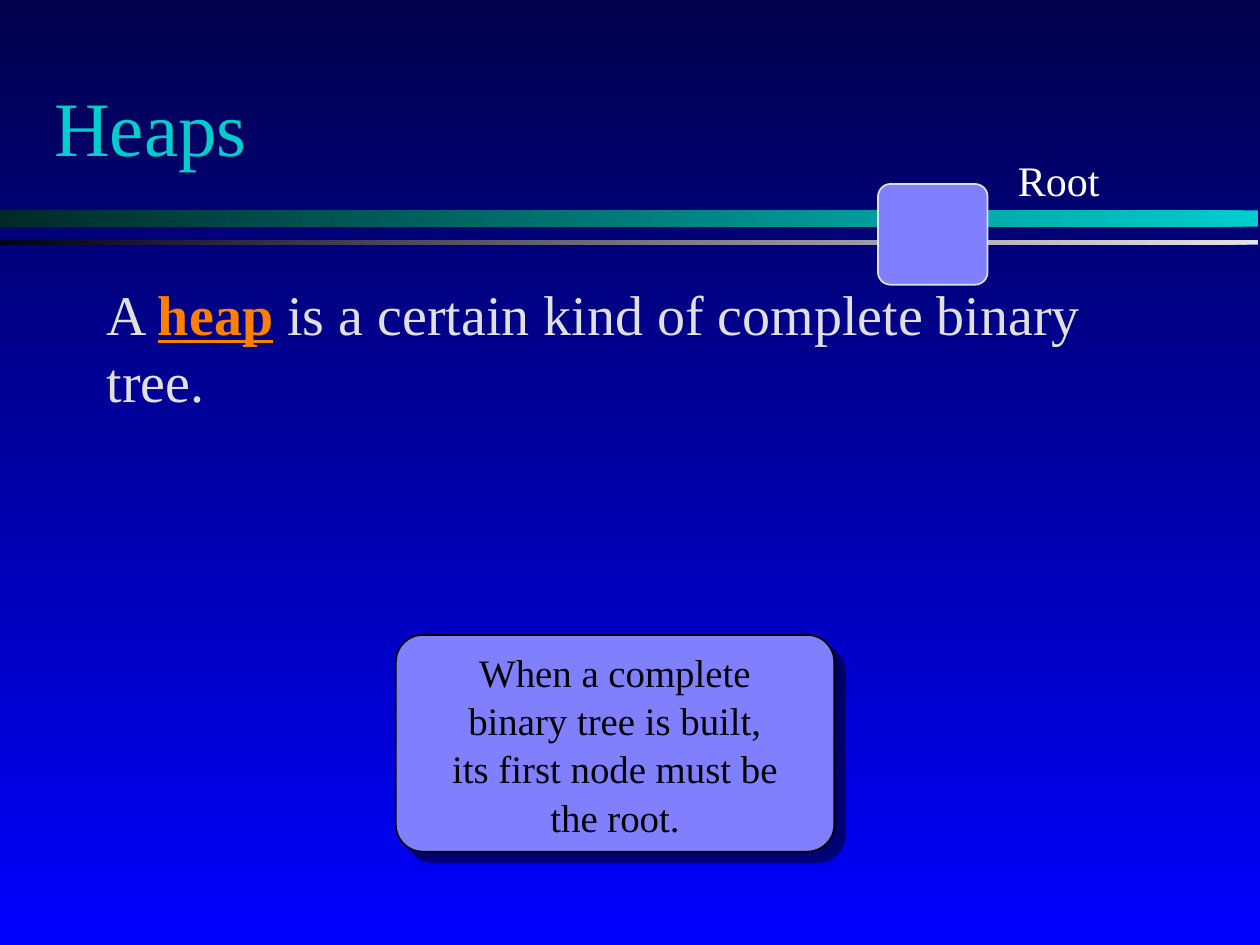
from lxml import etree
from pptx import Presentation
from pptx import util as u
from pptx.dml.color import RGBColor
from pptx.enum import shapes, text
from pptx.oxml.ns import qn

COLORS = {
    "night": "00004B", "blue": "0000FF",
    "teal": "00CECE", "dark_teal": "002929",
    "silver": "E4E4E7", "dark_navy": "000020",
    "body": "E0E0E0", "term": "FF8000", "node": "8080FF",
    "black": "000000", "white": "FFFFFF",
}
FONT = "Times New Roman"


def rgb(name):
    return RGBColor.from_string(COLORS[name])


def write(frame, paragraphs, size, color, align="LEFT", anchor="TOP",
          spacing=1.0, before=0, wrap=True, fit="NONE"):
    """Each paragraph is a list of runs; a run is (text, is_term)."""
    frame.word_wrap = wrap
    frame.auto_size = getattr(text.MSO_AUTO_SIZE, fit)
    frame.vertical_anchor = getattr(text.MSO_ANCHOR, anchor)
    for index, runs in enumerate(paragraphs):
        line = frame.add_paragraph() if index else frame.paragraphs[0]
        line.alignment = getattr(text.PP_ALIGN, align)
        line.line_spacing = spacing
        line.space_before = u.Pt(before)
        for words, is_term in runs:
            run = line.add_run()
            run.text = words
            run.font.name, run.font.size = FONT, u.Pt(size)
            run.font.bold = run.font.underline = is_term
            run.font.color.rgb = rgb("term" if is_term else color)


def plain(*lines):
    return [[(line, False)] for line in lines]


class SlideBuilder:
    def __init__(self, slide):
        self.slide = slide

    def gradient(self, fill, colors, angle):
        fill.gradient()
        fill.gradient_angle = angle
        for stop, color in zip(fill.gradient_stops, colors):
            stop.color.rgb = rgb(color)

    def title(self, words, box, **style):
        heading = self.slide.shapes.title
        heading.left, heading.top, heading.width, heading.height = map(u.Cm, box)
        write(heading.text_frame, plain(words), **style)

    def label(self, paragraphs, box, parent=None, **style):
        label = (parent or self.slide).shapes.add_textbox(*map(u.Cm, box))
        write(label.text_frame, paragraphs, **style)

    def rounded(self, box, radius, parent=None):
        shape = (parent or self.slide).shapes.add_shape(
            shapes.MSO_SHAPE.ROUNDED_RECTANGLE, *map(u.Cm, box))
        shape.adjustments[0] = radius
        shape.shadow.inherit = False
        return shape

    def bar(self, box, radius, colors):
        bar = self.rounded(box, radius)
        self.gradient(bar.fill, colors, 180)
        bar.line.fill.background()

    def node(self, box, outline, parent=None):
        node = self.rounded(box, 0.125, parent)
        node.fill.solid()
        node.fill.fore_color.rgb = rgb("node")
        node.line.color.rgb = rgb(outline)
        node.line.width = u.Pt(1)
        return node

    def drop_shadow(self, shape):
        effects = shape._element.spPr.find(qn("a:effectLst"))
        shadow = etree.SubElement(effects, qn("a:outerShdw"), blurRad="0",
                                  dist=str(u.Pt(8.5)), dir="2700000",
                                  algn="ctr", rotWithShape="0")
        shade = etree.SubElement(shadow, qn("a:srgbClr"), val=COLORS["black"])
        etree.SubElement(shade, qn("a:alpha"), val="50000")

    def callout(self, lines, box, inset, **style):
        left, top, width, height = box
        group = self.slide.shapes.add_group_shape()
        self.drop_shadow(self.node(box, "black", group))
        inner = (left + inset, top + inset, width - 2 * inset, height - 2 * inset)
        self.label(plain(*lines), inner, group, **style)


def main():
    deck = Presentation()
    deck.slide_width, deck.slide_height = u.Cm(25.4), u.Cm(19.05)
    builder = SlideBuilder(deck.slides.add_slide(deck.slide_layouts[5]))

    # Background and divider bars
    builder.gradient(builder.slide.background.fill, ("night", "blue"), 270)
    builder.bar((0, 4.24, 25.37, 0.33), 0.01, ("teal", "dark_teal"))
    builder.bar((0, 4.83, 25.37, 0.1), 0.04, ("silver", "dark_navy"))

    # Title and definition
    builder.title("Heaps", (0.84, 0.94, 21.59, 3.18),
                  size=44, color="teal", anchor="MIDDLE")
    definition = [("A ", False), ("heap", True),
                  (" is a certain kind of complete binary tree.", False)]
    builder.label([definition], (1.9, 5.51, 21.16, 11.43),
                  size=32, color="body", before=8)

    # Explanation
    builder.callout(
        ("When a complete", "binary tree is built,",
         "its first node must be", "the root."),
        (7.98, 12.8, 8.84, 4.37), 0.18, size=22.2, color="black",
        align="CENTER", anchor="MIDDLE", spacing=1.04)

    # Root node of the tree
    builder.node((17.7, 3.71, 2.21, 2.03), "body")
    builder.label(plain("Root"), (20.27, 3, 2.16, 1.22),
                  size=24, color="white", wrap=False, fit="SHAPE_TO_FIT_TEXT")

    deck.save("out.pptx")


if __name__ == "__main__":
    main()
